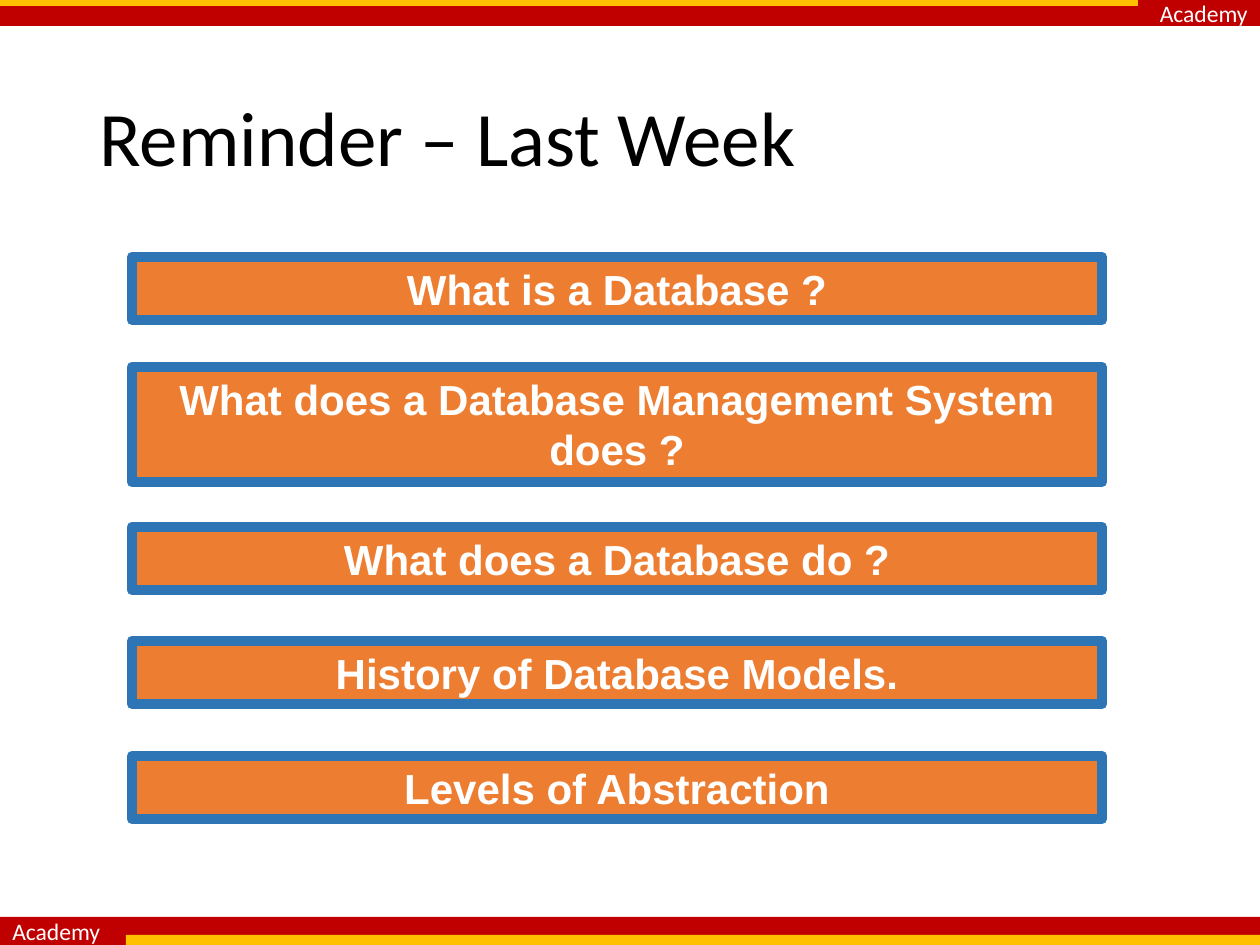
from dataclasses import dataclass

from pptx import Presentation
from pptx.dml.color import RGBColor
from pptx.enum.shapes import MSO_SHAPE
from pptx.enum.text import MSO_ANCHOR, MSO_AUTO_SIZE, PP_ALIGN
from pptx.util import Emu, Pt

RECT = MSO_SHAPE.RECTANGLE
TOP, MIDDLE = MSO_ANCHOR.TOP, MSO_ANCHOR.MIDDLE
LEFT, CENTER, RIGHT = PP_ALIGN.LEFT, PP_ALIGN.CENTER, PP_ALIGN.RIGHT
GROW = MSO_AUTO_SIZE.SHAPE_TO_FIT_TEXT

SCALE = 914400 / 126  # EMU per px
WIDE, HIGH = 1260, 945


@dataclass(frozen=True)
class Theme:
    red: str = "C00000"
    gold: str = "FFC000"
    orange: str = "ED7D31"
    blue: str = "2E75B6"
    white: str = "FFFFFF"
    black: str = "000000"
    head: str = "Calibri"
    body: str = "Arial"
    title: float = 44
    topic: float = 24
    brand: float = 13.5
    border: float = 6


@dataclass(frozen=True)
class Box:
    left: int
    top: int
    width: int
    height: int


@dataclass(frozen=True)
class Band:
    box: Box
    fill: str
    text: str = ""
    align: PP_ALIGN = LEFT


@dataclass(frozen=True)
class Topic:
    text: str
    top: int
    height: int = 63


THEME = Theme()
BRAND = "Academy"

BANDS = [
    Band(Box(0, 0, WIDE, 26), THEME.red, BRAND, RIGHT),
    Band(Box(0, 917, WIDE, 28), THEME.red, BRAND),
    Band(Box(0, 0, 1138, 6), THEME.gold),
    Band(Box(126, 935, 1134, 10), THEME.gold),
]

TOPICS = [
    Topic("What is a Database ?", 257),
    Topic("What does a Database Management System does ?", 367, 115),
    Topic("What does a Database do ?", 527),
    Topic("History of Database Models.", 641),
    Topic("Levels of Abstraction", 756),
]


def px(num: int) -> Emu:
    return Emu(round(num * SCALE))


def area(box: Box) -> tuple[Emu, ...]:
    return px(box.left), px(box.top), px(box.width), px(box.height)


def write(shape, text: str, face: str, size: float, color: str,
          align: PP_ALIGN, anchor: MSO_ANCHOR, wrap: bool = True):
    frame = shape.text_frame
    frame.word_wrap = wrap
    frame.vertical_anchor = anchor
    para = frame.paragraphs[0]
    para.text = text
    para.alignment = align
    para.font.name = face
    para.font.size = Pt(size)
    para.font.color.rgb = RGBColor.from_string(color)
    return para


def block(slide, box: Box, fill: str):
    shape = slide.shapes.add_shape(RECT, *area(box))
    shape.shadow.inherit = False
    shape.fill.solid()
    shape.fill.fore_color.rgb = RGBColor.from_string(fill)
    shape.line.fill.background()
    return shape


def draw_band(slide, band: Band) -> None:
    shape = block(slide, band.box, band.fill)
    if band.text:
        write(shape, band.text, THEME.head, THEME.brand, THEME.white,
              band.align, MIDDLE, wrap=False)


def draw_title(slide, text: str, box: Box) -> None:
    shape = slide.shapes.add_textbox(*area(box))
    para = write(shape, text, THEME.head, THEME.title, THEME.black,
                 LEFT, MIDDLE)
    para.line_spacing = 0.9


def draw_topic(slide, topic: Topic) -> None:
    shape = block(slide, Box(132, topic.top, 970, topic.height), THEME.orange)
    shape.line.color.rgb = RGBColor.from_string(THEME.blue)
    shape.line.width = Pt(THEME.border)
    para = write(shape, topic.text, THEME.body, THEME.topic, THEME.white,
                 CENTER, TOP)
    para.font.bold = True
    shape.text_frame.auto_size = GROW


def main() -> None:
    deck = Presentation()
    deck.slide_width, deck.slide_height = px(WIDE), px(HIGH)
    slide = deck.slides.add_slide(deck.slide_layouts[6])

    # Header and footer bands
    for band in BANDS:
        draw_band(slide, band)

    # Title
    draw_title(slide, "Reminder – Last Week", Box(87, 50, 1086, 183))

    # Topic boxes
    for topic in TOPICS:
        draw_topic(slide, topic)

    deck.save("out.pptx")


if __name__ == "__main__":
    main()
